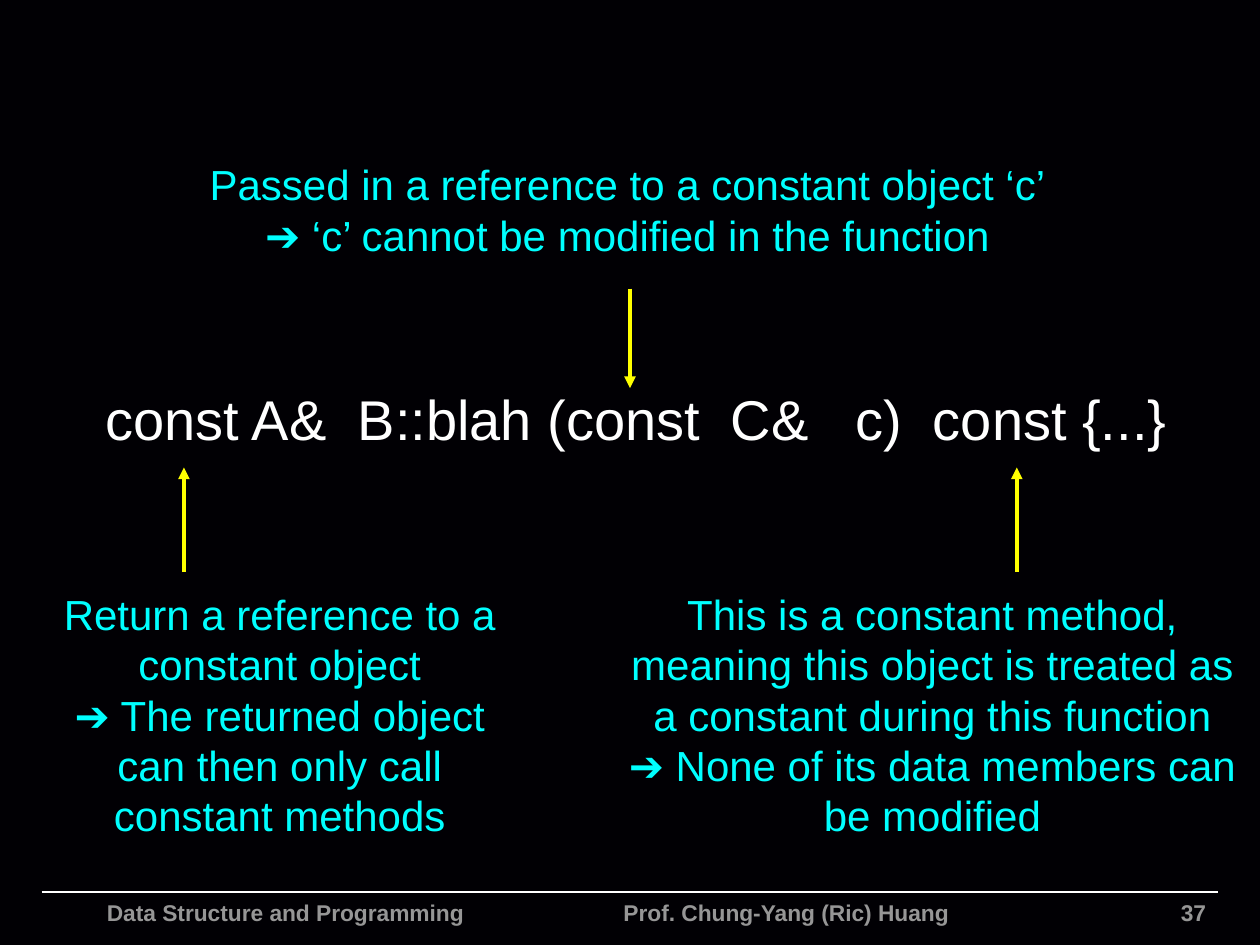
from lxml import etree
from pptx import Presentation
from pptx.dml.color import RGBColor
from pptx.enum.shapes import MSO_CONNECTOR as Connector
from pptx.enum.text import PP_ALIGN as Align
from pptx.oxml.ns import qn
from pptx.util import Inches, Pt

BACKGROUND, WHITE, GRAY = "010004", "FFFFFF", "969696"
CYAN, YELLOW = "00FFFF", "FFFF00"


def color(value):
    return RGBColor.from_string(value)


def add_text(slide, box, *lines, size=24, fill=CYAN, bold=False,
             align=Align.LEFT, inset=0.1, wrap=True):
    shape = slide.shapes.add_textbox(*map(Inches, box))
    frame = shape.text_frame
    frame.word_wrap = wrap
    frame.margin_left = frame.margin_right = Inches(inset)
    frame.margin_top = frame.margin_bottom = Inches(0.05)
    for index, line in enumerate(lines):
        paragraph = frame.paragraphs[0] if index == 0 else frame.add_paragraph()
        paragraph.alignment = align
        run = paragraph.add_run()
        run.text = line
        run.font.name = "Arial"
        run.font.size = Pt(size)
        run.font.bold = bold
        run.font.color.rgb = color(fill)


def add_line(slide, start, end, fill, width, arrow=False):
    line = slide.shapes.add_connector(
        Connector.STRAIGHT, *map(Inches, (*start, *end)))
    line.line.color.rgb = color(fill)
    line.line.width = Pt(width)
    properties = line._element.spPr
    if arrow:
        etree.SubElement(properties.find(qn("a:ln")), qn("a:tailEnd"), type="triangle")
    etree.SubElement(properties, qn("a:effectLst"))


def add_note(slide, box, arrow_x, arrow_start, arrow_end, *lines, wrap=True):
    add_line(slide, (arrow_x, arrow_start), (arrow_x, arrow_end), YELLOW, 2.25, arrow=True)
    add_text(slide, box, *lines, align=Align.CENTER, inset=0.05, wrap=wrap)


def add_footer(slide, box):
    left, top, width, height = box
    right = left + width
    add_line(slide, (left, top), (right, top), WHITE, 1)
    entries = [
        ("Data Structure and Programming", 0.75, 3.6, Align.LEFT),
        ("Prof. Chung-Yang (Ric) Huang", 4.85, 3.2, Align.LEFT),
        ("37", right - 1, 1, Align.RIGHT),
    ]
    for text, x, entry_width, align in entries:
        add_text(slide, (x, top, entry_width, height), text,
                 size=13, fill=GRAY, bold=True, align=align)


def main():
    presentation = Presentation()
    presentation.slide_width = Inches(10)
    presentation.slide_height = Inches(7.5)
    slide = presentation.slides.add_slide(presentation.slide_layouts[6])
    slide.background.fill.solid()
    slide.background.fill.fore_color.rgb = color(BACKGROUND)

    add_footer(slide, (0.33, 7.08, 9.34, 0.42))
    add_text(slide, (0.74, 3, 8.75, 0.62),
             "const A&  B::blah (const  C&   c)  const {...}", size=32, fill=WHITE)
    add_note(slide, (1.61, 1.21, 6.74, 0.9), 5, 2.29, 3.08,
             "Passed in a reference to a constant object ‘c’",
             "➔ ‘c’ cannot be modified in the function", wrap=False)
    add_note(slide, (4.92, 4.62, 4.96, 2.1), 8.07, 4.54, 3.71,
             "This is a constant method, meaning this object is treated as "
             "a constant during this function",
             "➔ None of its data members can be modified")
    add_note(slide, (0.23, 4.62, 3.98, 2.1), 1.46, 4.54, 3.71,
             "Return a reference to a constant object",
             "➔ The returned object can then only call constant methods")
    presentation.save("out.pptx")


if __name__ == "__main__":
    main()
